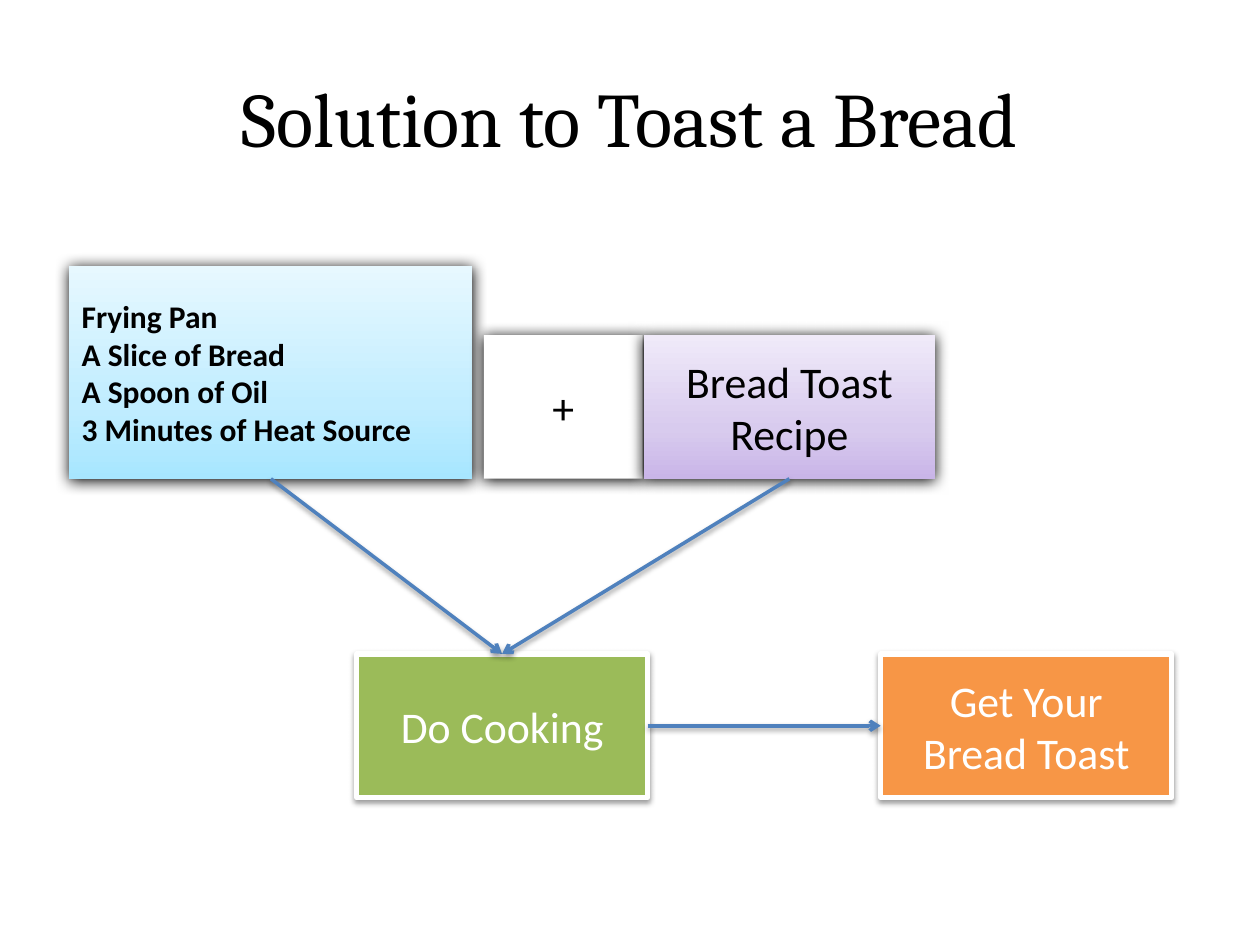
from copy import deepcopy

from lxml.etree import SubElement
from pptx import Presentation
from pptx.dml.color import RGBColor
from pptx.enum.shapes import MSO_CONNECTOR, MSO_SHAPE
from pptx.enum.text import MSO_ANCHOR, PP_ALIGN
from pptx.oxml.ns import qn
from pptx.util import Inches, Pt

BLACK = RGBColor(0, 0, 0)
WHITE = RGBColor(255, 255, 255)
GREEN = RGBColor(0x9B, 0xBB, 0x59)
ORANGE = RGBColor(0xF7, 0x96, 0x46)
BLUE = RGBColor(0x4F, 0x81, 0xBD)
SKY = [RGBColor.from_string(c) for c in ("A7E6FF", "C1EDFF", "E7F8FF")]
LILAC = [RGBColor.from_string(c) for c in ("C9B5E8", "D8CBEE", "F0EAF9")]
STOPS = (0, 0.35, 1)

TITLE = "Solution to Toast a Bread"
INGREDIENTS = ["Frying Pan", "A Slice of Bread", "A Spoon of Oil", "3 Minutes of Heat Source"]

BOX_W, BOX_H = 2.31, 1.14
INPUT_BOTTOM, STEP_BOTTOM = 3.8, 6.33
GLOW = (100, 8.5, 1)
SOFT = (38, 3.1, 1.6)

BOXES = {
    "ingredients": (INGREDIENTS, 0.55, INPUT_BOTTOM, 3.2, 1.69, SKY, BLACK),
    "plus": (["+"], 3.84, INPUT_BOTTOM, 1.26, BOX_H, WHITE, BLACK),
    "recipe": (["Bread Toast Recipe"], 5.11, INPUT_BOTTOM, BOX_W, BOX_H, LILAC, BLACK),
    "cook": (["Do Cooking"], 2.83, STEP_BOTTOM, BOX_W, BOX_H, GREEN, WHITE),
    "toast": (["Get Your Bread Toast"], 6.99, STEP_BOTTOM, BOX_W, BOX_H, ORANGE, WHITE),
}
TOP, LEFT, BOTTOM, RIGHT = range(4)
ARROWS = [
    ("ingredients", BOTTOM, "cook", TOP),
    ("recipe", BOTTOM, "cook", TOP),
    ("cook", RIGHT, "toast", LEFT),
]


def add_shadow(effects, alpha, blur, dist):
    shadow = SubElement(effects, qn("a:outerShdw"), blurRad=str(Pt(blur)), dist=str(Pt(dist)),
                        dir="5400000", rotWithShape="0")
    color = SubElement(shadow, qn("a:srgbClr"), val=str(BLACK))
    SubElement(color, qn("a:alpha"), val=str(alpha * 1000))


def fill_gradient(sp, colors):
    sp.fill.gradient()
    sp.fill.gradient_angle = 90
    stop_list = sp._element.spPr.find(".//" + qn("a:gsLst"))
    stop_list.append(deepcopy(stop_list[-1]))
    for stop, color, position in zip(sp.fill.gradient_stops, colors, STOPS):
        stop.color.rgb = color
        stop.position = position


def write(sp, lines, size, color, font="Calibri", bold=False, align=PP_ALIGN.CENTER):
    tf = sp.text_frame
    tf.word_wrap = True
    tf.vertical_anchor = MSO_ANCHOR.MIDDLE
    tf.text = "\n".join(lines)
    for p in tf.paragraphs:
        p.alignment = align
        p.font.name, p.font.size, p.font.bold = font, Pt(size), bold
        p.font.color.rgb = color


def add_box(slide, lines, left, bottom, width, height, fill, color):
    sp = slide.shapes.add_shape(MSO_SHAPE.RECTANGLE, Inches(left), Inches(bottom - height),
                                Inches(width), Inches(height))
    if isinstance(fill, list):
        fill_gradient(sp, fill)
    else:
        sp.fill.solid()
        sp.fill.fore_color.rgb = fill
    is_step = bottom == STEP_BOTTOM
    if is_step:
        sp.line.color.rgb = WHITE
        sp.line.width = Pt(3)
    else:
        sp.line.fill.background()
    sp.shadow.inherit = False
    add_shadow(sp._element.spPr.find(qn("a:effectLst")), *(SOFT if is_step else GLOW))
    if len(lines) > 1:
        write(sp, lines, 18, color, bold=True, align=PP_ALIGN.LEFT)
    else:
        write(sp, lines, 25, color)
    return sp


def add_arrow(slide, start, start_side, end, end_side):
    line = slide.shapes.add_connector(MSO_CONNECTOR.STRAIGHT, 0, 0, 0, 0)
    line.begin_connect(start, start_side)
    line.end_connect(end, end_side)
    line.line.color.rgb = BLUE
    line.line.width = Pt(2)
    SubElement(line.line._get_or_add_ln(), qn("a:tailEnd"), type="arrow")
    add_shadow(SubElement(line._element.spPr, qn("a:effectLst")), *SOFT)


def main():
    prs = Presentation()
    prs.slide_width, prs.slide_height = Inches(10), Inches(7.5)
    slide = prs.slides.add_slide(prs.slide_layouts[6])
    title = slide.shapes.add_textbox(Inches(0.5), Inches(0.3), Inches(9), Inches(1.25))
    write(title, [TITLE], 44, BLACK, font="Cambria")
    boxes = {name: add_box(slide, *box) for name, box in BOXES.items()}
    for start, start_side, end, end_side in ARROWS:
        add_arrow(slide, boxes[start], start_side, boxes[end], end_side)
    prs.save("out.pptx")


if __name__ == "__main__":
    main()
